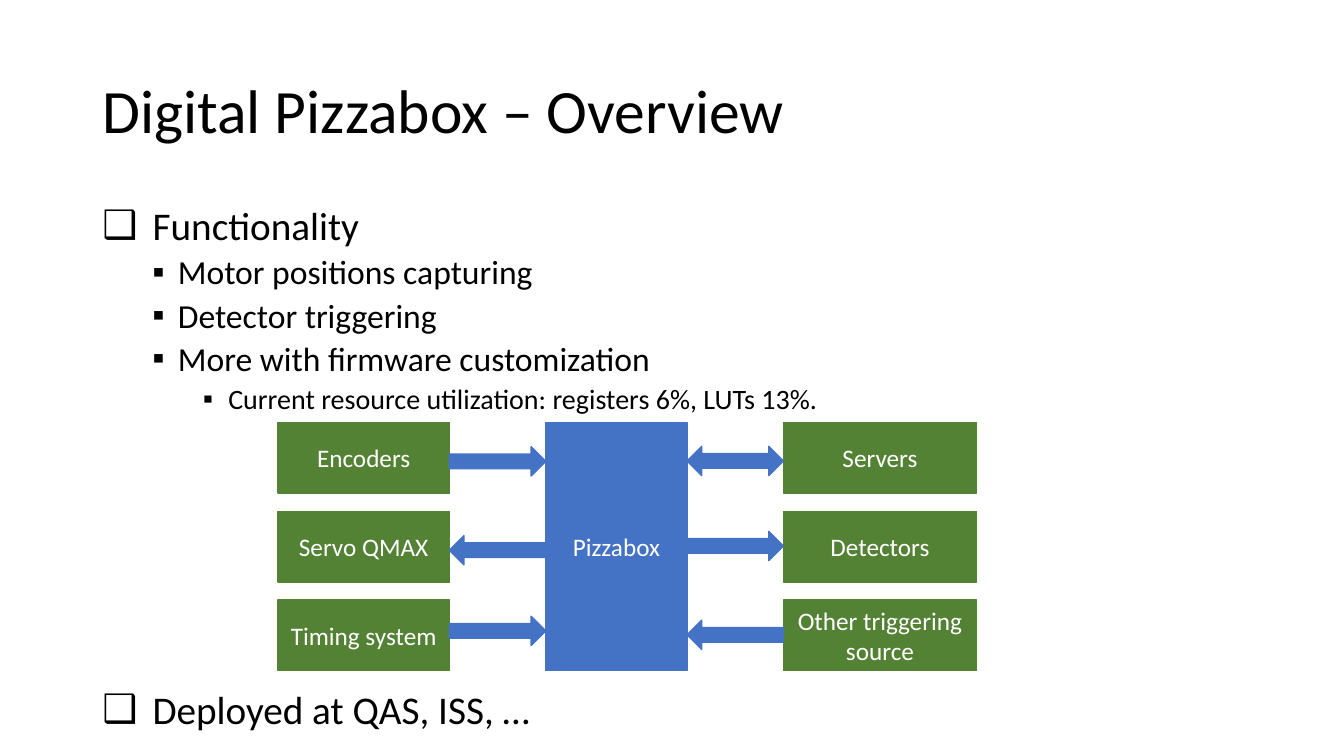
from lxml import etree
from pptx import Presentation
from pptx.dml.color import RGBColor
from pptx.enum.shapes import MSO_SHAPE
from pptx.enum.text import MSO_ANCHOR, MSO_AUTO_SIZE, PP_ALIGN
from pptx.oxml.ns import qn
from pptx.util import Pt

RECTANGLE = MSO_SHAPE.RECTANGLE
INTO_RIGHT = MSO_SHAPE.RIGHT_ARROW
INTO_LEFT = MSO_SHAPE.LEFT_ARROW
BOTH_WAYS = MSO_SHAPE.LEFT_RIGHT_ARROW
MIDDLE = MSO_ANCHOR.MIDDLE
LEFT = PP_ALIGN.LEFT
CENTER = PP_ALIGN.CENTER
NO_AUTOFIT = MSO_AUTO_SIZE.NONE

BLACK = RGBColor(0x00, 0x00, 0x00)
WHITE = RGBColor(0xFF, 0xFF, 0xFF)
GREEN = RGBColor(0x54, 0x82, 0x35)
BLUE = RGBColor(0x44, 0x72, 0xC4)
FONT = "Calibri"

# Style name: size, text indent, bullet indent, space before, bullet
STYLES = {
    "topic": (28, 36, 36, 10, "❑"),
    "point": (24, 54, 18, 5, "▪"),
    "detail": (20, 90, 18, 5, "▪"),
}
DIAGRAM_GAP = 196
OUTLINE = [
    ("topic", "Functionality"),
    ("point", "Motor positions capturing"),
    ("point", "Detector triggering"),
    ("point", "More with firmware customization"),
    ("detail", "Current resource utilization: registers 6%, LUTs 13%."),
    ("topic", "Deployed at QAS, ISS, …"),
]

# Label, arrow shape, arrow distance below the top of its row
LEFT_DEVICES = [
    ("Encoders", INTO_RIGHT, 17.3),
    ("Servo QMAX", INTO_LEFT, 17.3),
    ("Timing system", INTO_RIGHT, 11.5),
]
RIGHT_DEVICES = [
    ("Servers", BOTH_WAYS, 17),
    ("Detectors", INTO_RIGHT, 14.3),
    ("Other triggering source", INTO_LEFT, 14.3),
]


def style_text(para, size, color):
    for span in para.runs:
        span.font.name = FONT
        span.font.size = Pt(size)
        span.font.color.rgb = color


def set_bullet(para, mark, indent, hanging):
    properties = para._p.get_or_add_pPr()
    properties.set("marL", str(Pt(indent)))
    properties.set("indent", str(-Pt(hanging)))
    etree.SubElement(properties, qn("a:buFont")).set("typeface", FONT)
    etree.SubElement(properties, qn("a:buChar")).set("char", mark)


def add_title(page, left, top, width, height):
    title = page.shapes.title
    title.left, title.top = Pt(left), Pt(top)
    title.width, title.height = Pt(width), Pt(height)
    frame = title.text_frame
    frame.text = "Digital Pizzabox – Overview"
    frame.auto_size = NO_AUTOFIT
    frame.vertical_anchor = MIDDLE
    para = frame.paragraphs[0]
    para.alignment = LEFT
    para.line_spacing = 0.9
    style_text(para, 44, BLACK)


def add_outline(page, left, top, width, height):
    """Bulleted text that leaves room for the diagram before its last topic."""
    box = page.shapes.add_textbox(Pt(left), Pt(top), Pt(width), Pt(height))
    frame = box.text_frame
    frame.word_wrap = True
    frame.text = "\n".join(text for _, text in OUTLINE)
    for para, (style, _) in zip(frame.paragraphs, OUTLINE):
        size, indent, hanging, before, mark = STYLES[style]
        para.line_spacing = 0.9
        para.space_before = Pt(before)
        set_bullet(para, mark, indent, hanging)
        style_text(para, size, BLACK)
    frame.paragraphs[-1].space_before = Pt(DIAGRAM_GAP)


def add_block(group, kind, left, top, width, height, color, label=""):
    block = group.shapes.add_shape(kind, Pt(left), Pt(top), Pt(width), Pt(height))
    block.shadow.inherit = False
    block.fill.solid()
    block.fill.fore_color.rgb = color
    block.line.color.rgb = color
    block.line.width = Pt(1)
    if label:
        frame = block.text_frame
        frame.text = label
        frame.word_wrap = True
        frame.vertical_anchor = MIDDLE
        frame.paragraphs[0].alignment = CENTER
        style_text(frame.paragraphs[0], 18, WHITE)


def add_diagram(page, left, top, width, height):
    """Hub in the middle, a column of devices on each side, arrows between."""
    left_width, hub_width, right_width = 122.4, 101, 138
    row_height, arrow_height = 50.4, 20.9
    pitch = (height - row_height) / 2
    arrow_width = (width - left_width - hub_width - right_width) / 2
    hub_left = left + left_width + arrow_width
    hub_right = hub_left + hub_width
    columns = [
        (LEFT_DEVICES, left, left_width, left + left_width),
        (RIGHT_DEVICES, left + width - right_width, right_width, hub_right),
    ]

    group = page.shapes.add_group_shape()
    add_block(group, RECTANGLE, hub_left, top, hub_width, height, BLUE, "Pizzabox")
    for devices, device_left, device_width, arrow_left in columns:
        for row, (label, arrow, drop) in enumerate(devices):
            row_top = top + row * pitch
            add_block(group, RECTANGLE, device_left, row_top,
                      device_width, row_height, GREEN, label)
            add_block(group, arrow, arrow_left, row_top + drop,
                      arrow_width, arrow_height, BLUE)


def main():
    deck = Presentation()
    deck.slide_width, deck.slide_height = Pt(960), Pt(540)
    page = deck.slides.add_slide(deck.slide_layouts[5])
    add_title(page, 66, 28.75, 828, 104.4)
    add_outline(page, 66, 144, 828, 396)
    add_diagram(page, 198.6, 301.8, 499, 177.3)
    deck.save("out.pptx")


if __name__ == "__main__":
    main()
